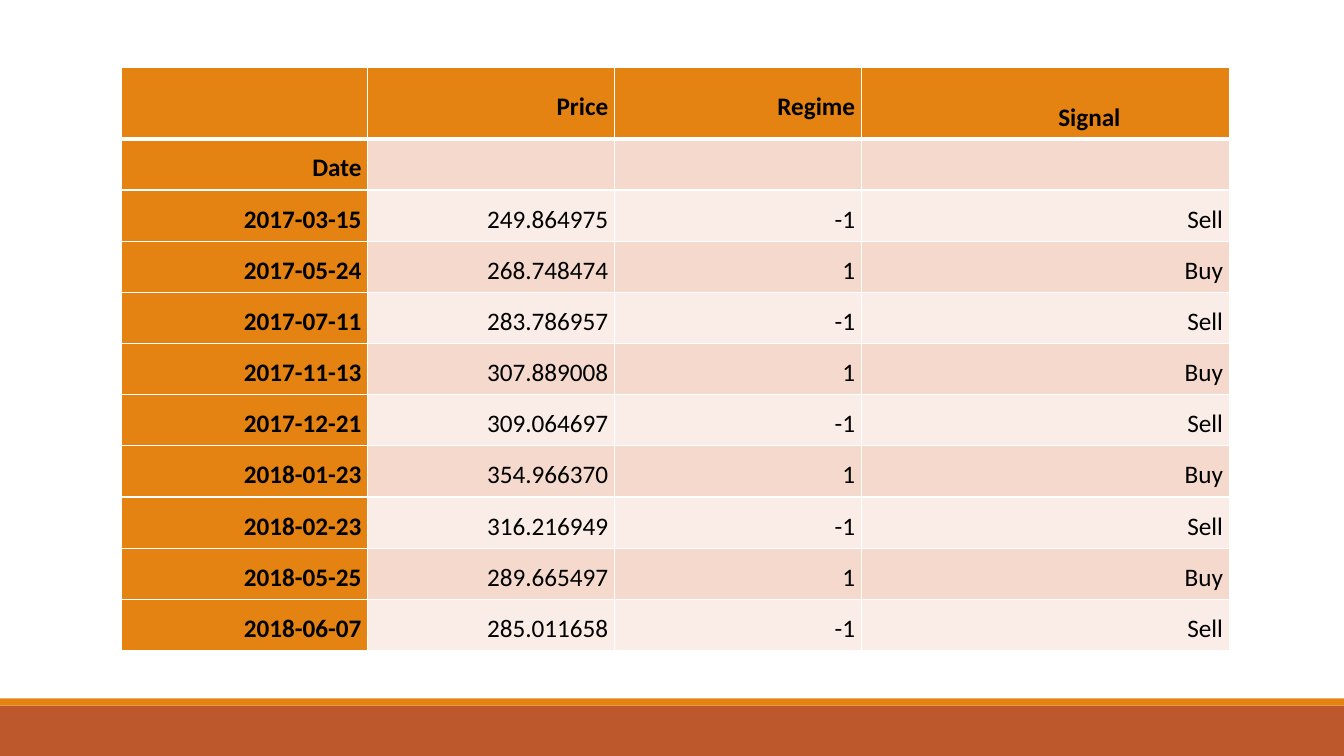
from lxml import etree
from pptx import Presentation
from pptx import util as u
from pptx.dml.color import RGBColor
from pptx.enum import shapes, text
from pptx.oxml.ns import qn

COLORS = {
    "orange": "E48312",
    "rust": "BD582C",
    "band_dark": "F5D9CC",
    "band_light": "FAEDE7",
    "border": "FFFFFF",
    "text": "000000",
}
FONT = "Calibri"
SLIDE_W, SLIDE_H = 33.87, 19.05
HEADER_H, ROW_H = 1.79, 1.28
COL_WIDTHS = [6.22, 6.22, 6.22, 9.27]
PRICES = [
    ("2017-03-15", "249.864975"),
    ("2017-05-24", "268.748474"),
    ("2017-07-11", "283.786957"),
    ("2017-11-13", "307.889008"),
    ("2017-12-21", "309.064697"),
    ("2018-01-23", "354.966370"),
    ("2018-02-23", "316.216949"),
    ("2018-05-25", "289.665497"),
    ("2018-06-07", "285.011658"),
]
SIGNALS = [("-1", "Sell"), ("1", "Buy")]


def rgb(name):
    return RGBColor.from_string(COLORS[name])


def set_borders(cell, bottom):
    tcPr = cell._tc.get_or_add_tcPr()
    widths = {"a:lnL": 1, "a:lnR": 1, "a:lnT": 1, "a:lnB": bottom}
    for i, (tag, width) in enumerate(widths.items()):
        ln = etree.Element(qn(tag), w=str(u.Pt(width)))
        fill = etree.SubElement(ln, qn("a:solidFill"))
        etree.SubElement(fill, qn("a:srgbClr"), val=COLORS["border"])
        tcPr.insert(i, ln)


def fill_cell(cell, value, color, bold, bottom):
    cell.fill.solid()
    cell.fill.fore_color.rgb = rgb(color)
    set_borders(cell, bottom)
    cell.margin_left = cell.margin_right = u.Cm(0.16)
    cell.margin_top = cell.margin_bottom = u.Cm(0.16)
    cell.vertical_anchor = text.MSO_ANCHOR.MIDDLE
    p = cell.text_frame.paragraphs[0]
    p.text = value
    p.alignment = text.PP_ALIGN.RIGHT
    p.line_spacing = 1.25
    p.font.size = u.Pt(18)
    for r in p.runs:
        r.font.name = FONT
        r.font.size = u.Pt(18)
        r.font.bold = bold
        r.font.color.rgb = rgb("text")


def add_signal_table(slide, left, top):
    rows = [("", "Price", "Regime", "Signal"), ("Date", "", "", "")]
    rows += [entry + SIGNALS[i % 2] for i, entry in enumerate(PRICES)]
    heights = [HEADER_H] + [ROW_H] * (len(rows) - 1)
    frame = slide.shapes.add_table(
        len(rows), len(COL_WIDTHS), u.Cm(left), u.Cm(top),
        u.Cm(sum(COL_WIDTHS)), u.Cm(sum(heights)))
    table = frame.table
    table.first_col = True
    for column, width in zip(table.columns, COL_WIDTHS):
        column.width = u.Cm(width)
    for i, (values, height) in enumerate(zip(rows, heights)):
        table.rows[i].height = u.Cm(height)
        for j, value in enumerate(values):
            heading = i == 0 or j == 0
            band = "band_dark" if i % 2 else "band_light"
            fill_cell(table.cell(i, j), value, "orange" if heading else band,
                      heading, 3 if i == 0 else 1)

    signal = table.cell(0, len(COL_WIDTHS) - 1)
    signal.vertical_anchor = text.MSO_ANCHOR.BOTTOM
    signal.margin_left = u.Cm(4.96)
    signal.margin_bottom = u.Cm(0.13)
    p = signal.text_frame.paragraphs[0]
    p.alignment = text.PP_ALIGN.LEFT
    p.line_spacing = 1.0


def add_footer(slide, left, top, width, height):
    stripe = 0.18
    bands = [("rust", top + stripe, height - stripe), ("orange", top, stripe)]
    for color, y, h in bands:
        sp = slide.shapes.add_shape(
            shapes.MSO_SHAPE.RECTANGLE, u.Cm(left), u.Cm(y), u.Cm(width), u.Cm(h))
        sp.shadow.inherit = False
        sp.fill.solid()
        sp.fill.fore_color.rgb = rgb(color)
        sp.line.fill.background()


def main():
    prs = Presentation()
    prs.slide_width, prs.slide_height = u.Cm(SLIDE_W), u.Cm(SLIDE_H)
    slide = prs.slides.add_slide(prs.slide_layouts[6])
    footer_h = 1.45
    add_footer(slide, 0, SLIDE_H - footer_h, SLIDE_W, footer_h)
    add_signal_table(slide, 3.05, 1.71)
    prs.save("out.pptx")


if __name__ == "__main__":
    main()
